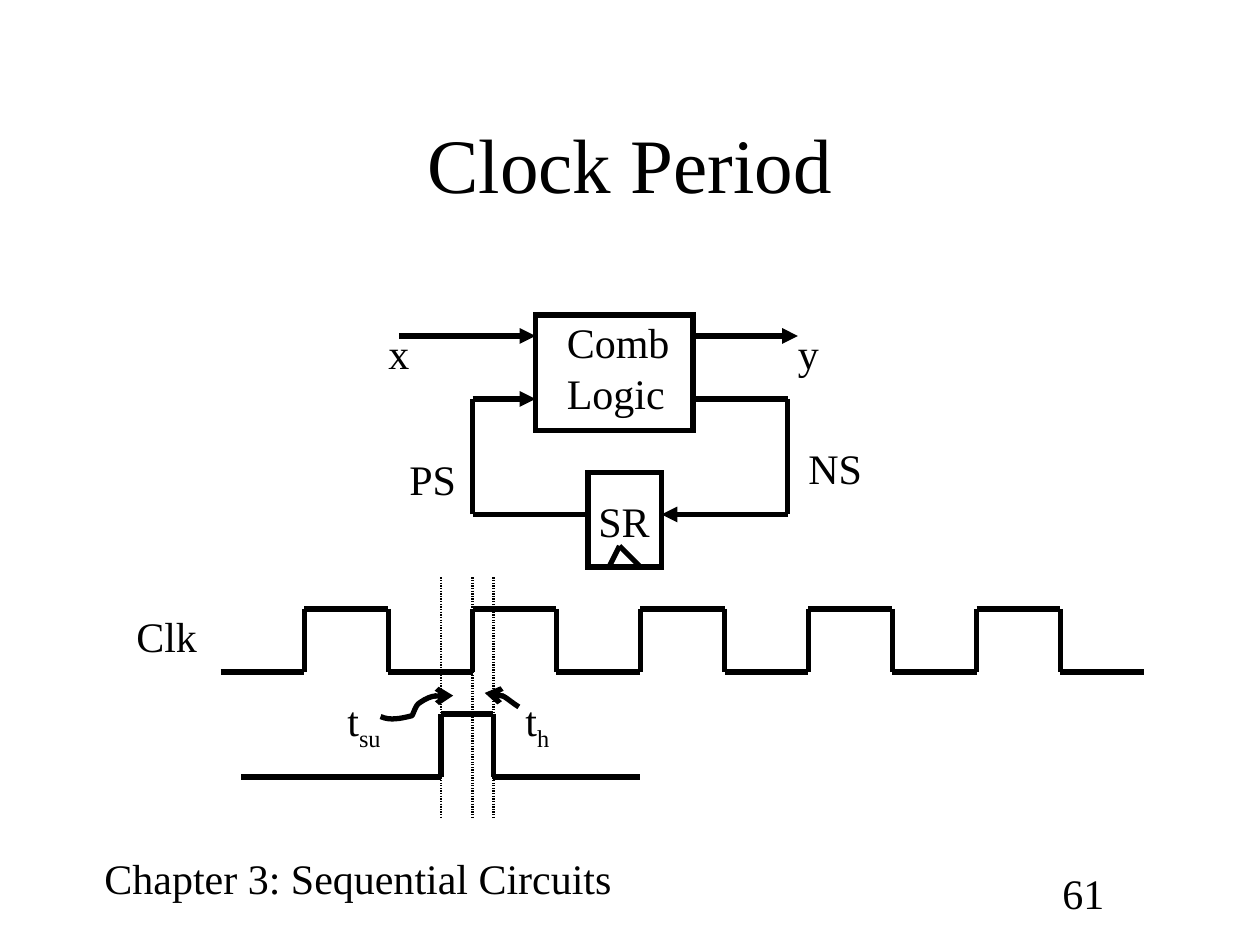
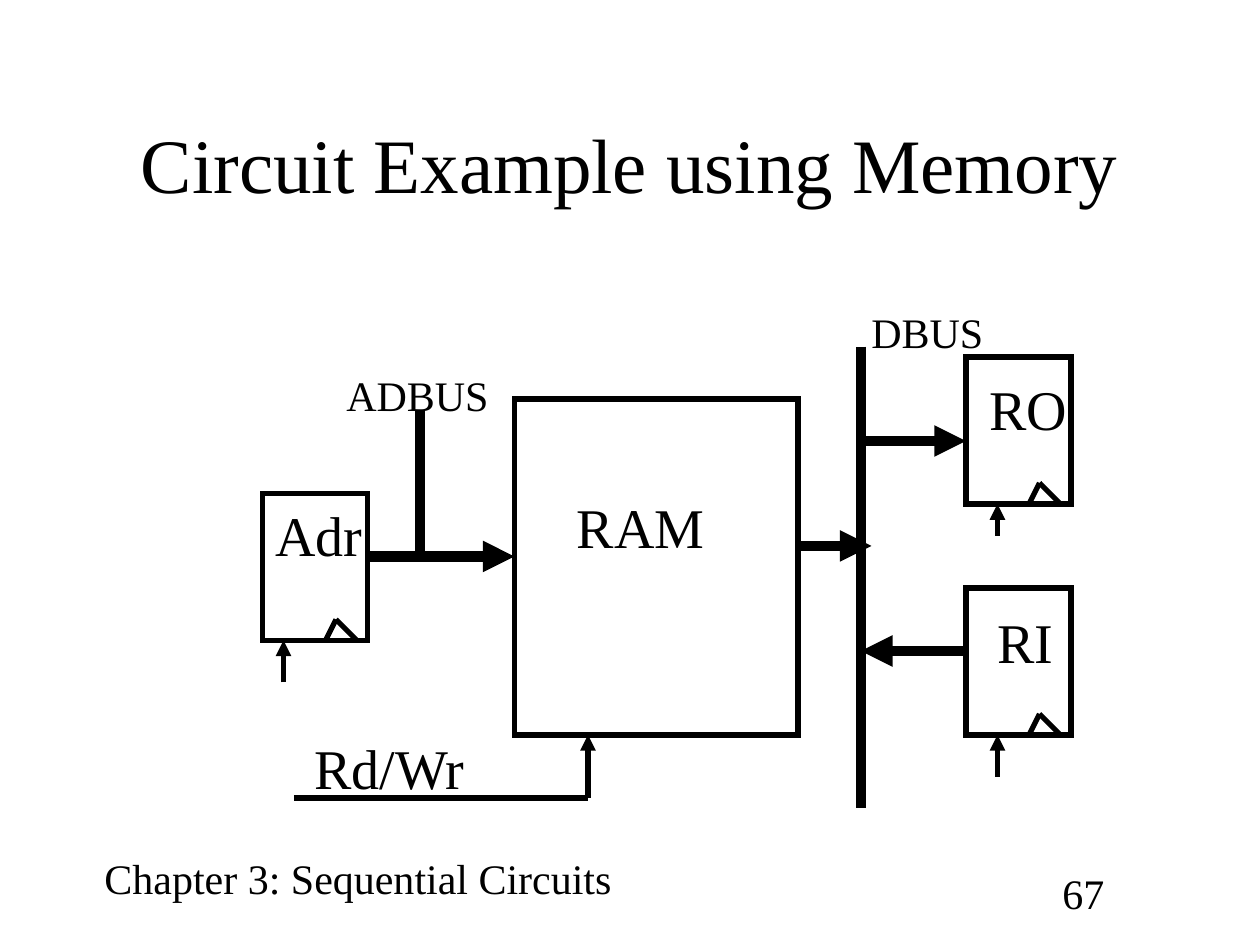
import itertools

import pptx
import pptx.dml.color
import pptx.enum.shapes
import pptx.enum.text
import pptx.oxml.ns
import pptx.util
from lxml import etree

Pt = pptx.util.Pt
qn = pptx.oxml.ns.qn
BLACK = pptx.dml.color.RGBColor(0, 0, 0)
WHITE = pptx.dml.color.RGBColor(255, 255, 255)
FONT = "Times New Roman"
FOOTER = "Chapter 3: Sequential Circuits"
TITLE_SIZE, LABEL_SIZE, BLOCK_SIZE = 44, 24, 32
THIN, WIRE, BUS = 1.5, 3, 6
REGISTER_WIDTH, REGISTER_HEIGHT = 60, 84


# Text
def style_runs(frame, size):
    for paragraph in frame.paragraphs:
        for run in paragraph.runs:
            run.font.name = FONT
            run.font.size = Pt(size)
            run.font.color.rgb = BLACK


def add_text(slide, text, left, top, width, height, size=LABEL_SIZE, wrap=False):
    frame = slide.shapes.add_textbox(Pt(left), Pt(top), Pt(width), Pt(height)).text_frame
    frame.word_wrap = wrap
    frame.text = text
    style_runs(frame, size)
    return frame


def add_label(slide, text, left, top, width, size=LABEL_SIZE):
    height = 7.2 + 1.2 * size * len(text.split("\n"))
    frame = add_text(slide, text, left, top, width, height, size)
    frame.auto_size = pptx.enum.text.MSO_AUTO_SIZE.SHAPE_TO_FIT_TEXT
    return frame


def add_time_label(slide, subscript, left, top, width):
    frame = add_label(slide, "t", left, top, width)
    run = frame.paragraphs[0].add_run()
    run.text = subscript
    style_runs(frame, LABEL_SIZE)
    run._r.get_or_add_rPr().set("baseline", "-25000")


# Lines and boxes
def add_line_detail(line, tag, **attributes):
    return etree.SubElement(line._get_or_add_ln(), qn(tag), **attributes)


def style_line(line, width, arrow=None):
    line.color.rgb = BLACK
    line.width = Pt(width)
    if arrow:
        add_line_detail(line, "a:tailEnd", type=arrow)


def add_wire(slide, *points, width=WIRE, arrow=False):
    """Join the points with straight segments; an arrow ends the last one."""
    segments = list(itertools.pairwise(points))
    for number, (start, end) in enumerate(segments, 1):
        connector = slide.shapes.add_connector(
            pptx.enum.shapes.MSO_CONNECTOR.STRAIGHT,
            *(Pt(value) for value in start + end))
        at_end = arrow and number == len(segments)
        style_line(connector.line, width, "triangle" if at_end else None)
        etree.SubElement(connector._element.spPr, qn("a:effectLst"))
    return connector


def add_guide(slide, x):
    guide = add_wire(slide, (x, 330), (x, 468), width=THIN)
    dots = add_line_detail(guide.line, "a:custDash")
    etree.SubElement(dots, qn("a:ds"), d="50000", sp="50000")


def bezier_point(t, *controls):
    weights = ((1 - t) ** 3, 3 * t * (1 - t) ** 2, 3 * t ** 2 * (1 - t), t ** 3)
    return tuple(Pt(sum(w * c for w, c in zip(weights, axis))) for axis in zip(*controls))


def add_curved_pointer(slide, start, *curves, steps=8):
    builder = slide.shapes.build_freeform(Pt(start[0]), Pt(start[1]))
    for curve in curves:
        builder.add_line_segments(
            [bezier_point(i / steps, start, *curve) for i in range(1, steps + 1)],
            close=False)
        start = curve[-1]
    pointer = builder.convert_to_shape()
    pointer.shadow.inherit = False
    pointer.fill.background()
    style_line(pointer.line, WIRE, "arrow")


def add_block(slide, left, top, width, height):
    block = slide.shapes.add_shape(
        pptx.enum.shapes.MSO_SHAPE.RECTANGLE, Pt(left), Pt(top), Pt(width), Pt(height))
    block.shadow.inherit = False
    block.fill.background()
    style_line(block.line, WIRE)
    add_line_detail(block.line, "a:miter", lim="800000")


def add_clock_mark(slide, left, base):
    add_wire(slide, (left, base), (left + 6, base - 12), (left + 18, base))


def add_register(slide, left, top, clock_offset, clock_length):
    bottom = top + REGISTER_HEIGHT
    clock_x = left + clock_offset
    add_block(slide, left, top, REGISTER_WIDTH, REGISTER_HEIGHT)
    add_clock_mark(slide, left + 36, bottom)
    add_wire(slide, (clock_x, bottom + clock_length), (clock_x, bottom), arrow=True)


# Slides
def new_slide(deck, title, number):
    slide = deck.slides.add_slide(deck.slide_layouts[6])
    slide.background.fill.solid()
    slide.background.fill.fore_color.rgb = WHITE
    add_label(slide, FOOTER, 52.6, 483.4, 322)
    add_text(slide, str(number), 600, 492, 66, 36, wrap=True)
    heading = add_text(slide, title, 54, 48, 612, 90, TITLE_SIZE, wrap=True)
    heading.vertical_anchor = pptx.enum.text.MSO_ANCHOR.MIDDLE
    heading.paragraphs[0].alignment = pptx.enum.text.PP_ALIGN.CENTER
    return slide


def clock_wave(left, high, low, half_period, halves):
    points = []
    for i in range(halves):
        level = high if i % 2 else low
        x = left + i * half_period
        points += [(x, level), (x + half_period, level)]
    return points


def build_clock_period(deck):
    slide = new_slide(deck, "Clock Period", 61)

    # State machine
    add_block(slide, 306, 180, 90, 66)
    add_block(slide, 336, 270, 42, 54)
    add_clock_mark(slide, 348, 324)
    add_wire(slide, (228, 192), (306, 192), arrow=True)
    add_wire(slide, (396, 192), (456, 192), arrow=True)
    add_wire(slide, (336, 294), (270, 294), (270, 228), (306, 228), arrow=True)
    add_wire(slide, (396, 228), (450, 228), (450, 294), (378, 294), arrow=True)
    for text, left, top, width in (
            ("x", 214.8, 183.6, 26.5), ("y", 448.8, 183.6, 26.5),
            ("PS", 226.8, 255.6, 42), ("NS", 454.8, 249.4, 46),
            ("SR", 334.8, 279.6, 45), ("Comb\nLogic", 316.8, 177.4, 74),
            ("Clk", 70.8, 345.6, 49.5)):
        add_label(slide, text, left, top, width)

    # Clock and the stable input window around its edge
    add_wire(slide, *clock_wave(126, 348, 384, 48, 11))
    add_wire(slide, (138, 444), (252, 444), (252, 408), (282, 408), (282, 444), (366, 444))
    for x in (252, 270, 282):
        add_guide(slide, x)

    # Setup and hold times
    add_time_label(slide, "h", 293.2, 393.4, 29)
    add_time_label(slide, "su", 191.4, 393.4, 35)
    add_curved_pointer(
        slide, (217.5, 409.5),
        ((223, 412), (229.5, 410.5), (235.5, 409)),
        ((237, 406), (237.5, 403), (240, 401.5)),
        ((247, 396.5), (251, 397.5), (259, 397.5)))
    add_curved_pointer(slide, (296.5, 404), ((288.5, 399), (288.5, 396), (277, 396)))


def build_memory_circuit(deck):
    slide = new_slide(deck, "Circuit Example using Memory", 67)

    # Memory and registers
    add_block(slide, 294, 228, 162, 192)
    add_register(slide, 552, 204, 18, 18)
    add_register(slide, 552, 336, 18, 24)
    add_register(slide, 150, 282, 12, 24)
    add_wire(slide, (168, 456), (336, 456), (336, 420), arrow=True)

    # Address and data buses
    add_wire(slide, (240, 234), (240, 318), width=BUS)
    add_wire(slide, (492, 198), (492, 462), width=BUS)
    for start, end in (((210, 318), (294, 318)), ((456, 312), (498, 312)),
                       ((492, 252), (552, 252)), ((552, 372), (492, 372))):
        add_wire(slide, start, end, width=BUS, arrow=True)

    # Labels
    for text, left, top, width in (
            ("RAM", 322.6, 277.6, 89), ("RO", 558.2, 210.2, 60), ("RI", 562.8, 343.6, 48),
            ("Adr", 150.2, 282.2, 65), ("Rd/Wr", 172.6, 415.6, 102.5)):
        add_label(slide, text, left, top, width, BLOCK_SIZE)
    add_label(slide, "ADBUS", 190.8, 207.4, 97)
    add_label(slide, "DBUS", 490.8, 171.4, 79.5)


def main():
    deck = pptx.Presentation()
    deck.slide_width, deck.slide_height = Pt(720), Pt(540)
    build_clock_period(deck)
    build_memory_circuit(deck)
    deck.save("out.pptx")


if __name__ == "__main__":
    main()
